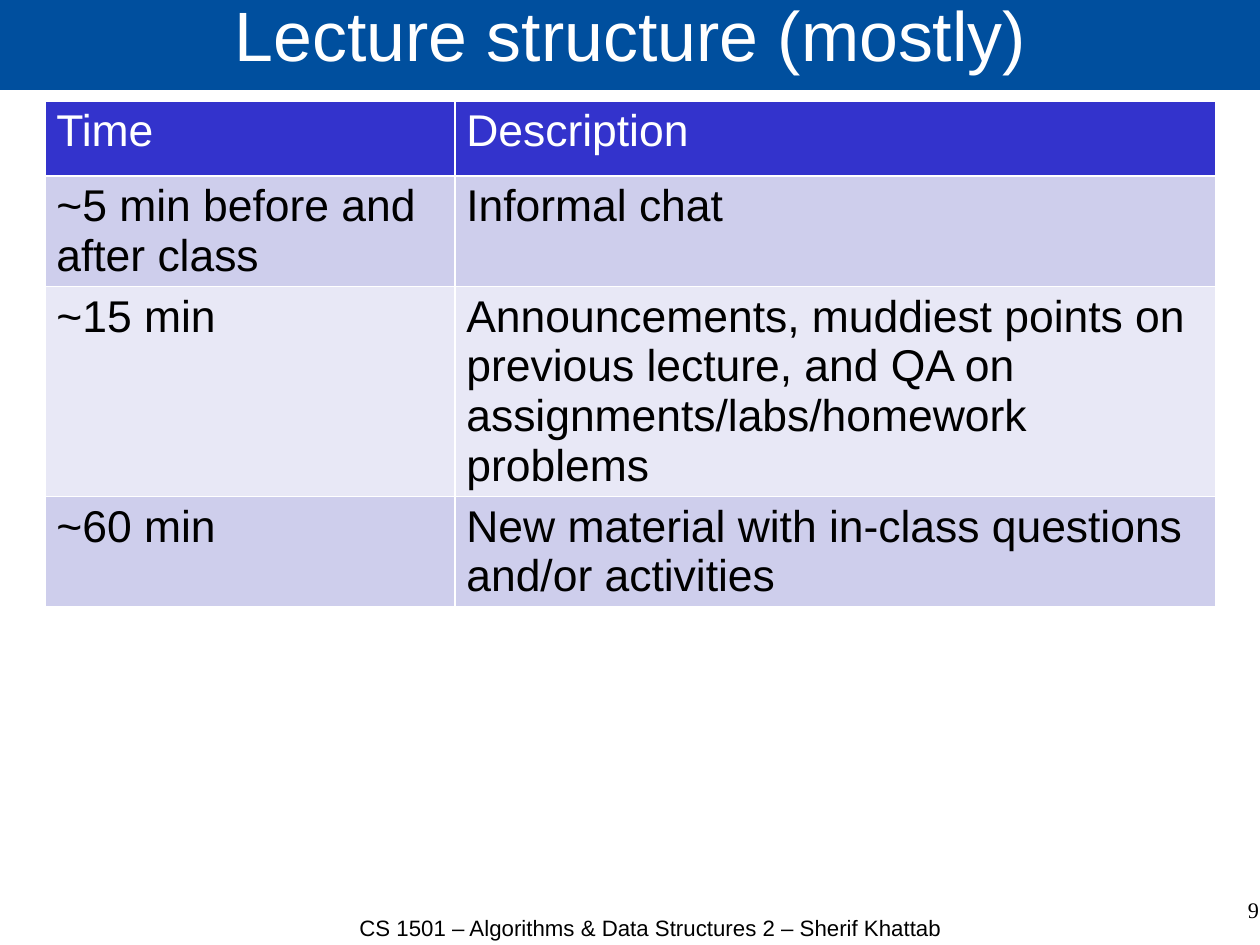
from dataclasses import dataclass

from lxml import etree
from pptx import Presentation
from pptx import util as u
from pptx.dml.color import RGBColor
from pptx.enum import text
from pptx.oxml import ns

TITLE = "Lecture structure (mostly)"
SCHEDULE = [
    ("Time", "Description"),
    ("~5 min before and after class", "Informal chat"),
    ("~15 min", "Announcements, muddiest points on previous lecture, "
                "and QA on assignments/labs/homework problems"),
    ("~60 min", "New material with in-class questions and/or activities"),
]
FOOTER = "CS 1501 – Algorithms & Data Structures 2 – Sherif Khattab"
PAGE_NUMBER = "9"

SLIDE_SIZE = (1260, 945)
TITLE_BOX = (0, -2, 1262, 92)
FOOTER_BOX = (351, 916, 599, 63)
NUMBER_BOX = (969, 898, 290, 63)
TABLE_ORIGIN = (45, 101)
COLUMN_WIDTHS = (410, 761)
ROW_HEIGHTS = (75, 110, 210, 110)
EMU_PER_PX = 8000


@dataclass(frozen=True)
class Theme:
    sans: str = "Arial"
    serif: str = "Times New Roman"
    white: str = "FFFFFF"
    black: str = "000000"
    banner: str = "004F9E"
    header: str = "3333CC"
    bands: tuple = ("CECEEC", "E8E8F6")
    title_size: int = 44
    table_size: int = 28
    small_size: int = 14
    border_width: int = 1


THEME = Theme()


def px(*lengths):
    return [u.Emu(length * EMU_PER_PX) for length in lengths]


def paint(fill, color):
    fill.solid()
    fill.fore_color.rgb = RGBColor.from_string(color)


def write(frame, words, size, color, font=THEME.sans, align=None, spacing=None):
    frame.text = words
    paragraph = frame.paragraphs[0]
    paragraph.alignment = align
    paragraph.line_spacing = spacing
    paragraph.font.name = font
    paragraph.font.size = u.Pt(size)
    paragraph.font.bold = False
    paragraph.font.color.rgb = RGBColor.from_string(color)


def clear_insets(frame):
    frame.margin_left = frame.margin_top = frame.margin_right = frame.margin_bottom = 0
    frame.word_wrap = True
    frame.auto_size = text.MSO_AUTO_SIZE.NONE


def add_title(slide):
    title = slide.shapes.title
    title.left, title.top, title.width, title.height = px(*TITLE_BOX)
    paint(title.fill, THEME.banner)
    clear_insets(title.text_frame)
    title.text_frame.vertical_anchor = text.MSO_ANCHOR.MIDDLE
    write(title.text_frame, TITLE, THEME.title_size, THEME.white,
          align=text.PP_ALIGN.CENTER, spacing=0.69)


def add_label(slide, box, words, font, align):
    frame = slide.shapes.add_textbox(*px(*box)).text_frame
    clear_insets(frame)
    write(frame, words, THEME.small_size, THEME.black, font, align, 0.96)


def add_borders(cell):
    properties = cell._tc.get_or_add_tcPr()
    for position, side in enumerate(("a:lnL", "a:lnR", "a:lnT", "a:lnB")):
        line = etree.Element(ns.qn(side), w=str(u.Pt(THEME.border_width)))
        fill = etree.SubElement(line, ns.qn("a:solidFill"))
        etree.SubElement(fill, ns.qn("a:srgbClr"), val=THEME.white)
        properties.insert(position, line)


def add_schedule(slide):
    box = px(*TABLE_ORIGIN, sum(COLUMN_WIDTHS), sum(ROW_HEIGHTS))
    table = slide.shapes.add_table(len(SCHEDULE), len(COLUMN_WIDTHS), *box).table
    for column, width in zip(table.columns, px(*COLUMN_WIDTHS)):
        column.width = width
    for row, height in zip(table.rows, px(*ROW_HEIGHTS)):
        row.height = height
    for index, entries in enumerate(SCHEDULE):
        background = THEME.bands[(index - 1) % 2] if index else THEME.header
        color = THEME.black if index else THEME.white
        for cell, words in zip(table.rows[index].cells, entries):
            write(cell.text_frame, words, THEME.table_size, color)
            paint(cell.fill, background)
            add_borders(cell)


def main():
    presentation = Presentation()
    presentation.slide_width, presentation.slide_height = px(*SLIDE_SIZE)
    slide = presentation.slides.add_slide(presentation.slide_layouts[5])
    paint(slide.background.fill, THEME.white)
    add_title(slide)
    add_label(slide, FOOTER_BOX, FOOTER, THEME.sans, text.PP_ALIGN.CENTER)
    add_label(slide, NUMBER_BOX, PAGE_NUMBER, THEME.serif, text.PP_ALIGN.RIGHT)
    add_schedule(slide)
    presentation.save("out.pptx")


if __name__ == "__main__":
    main()
